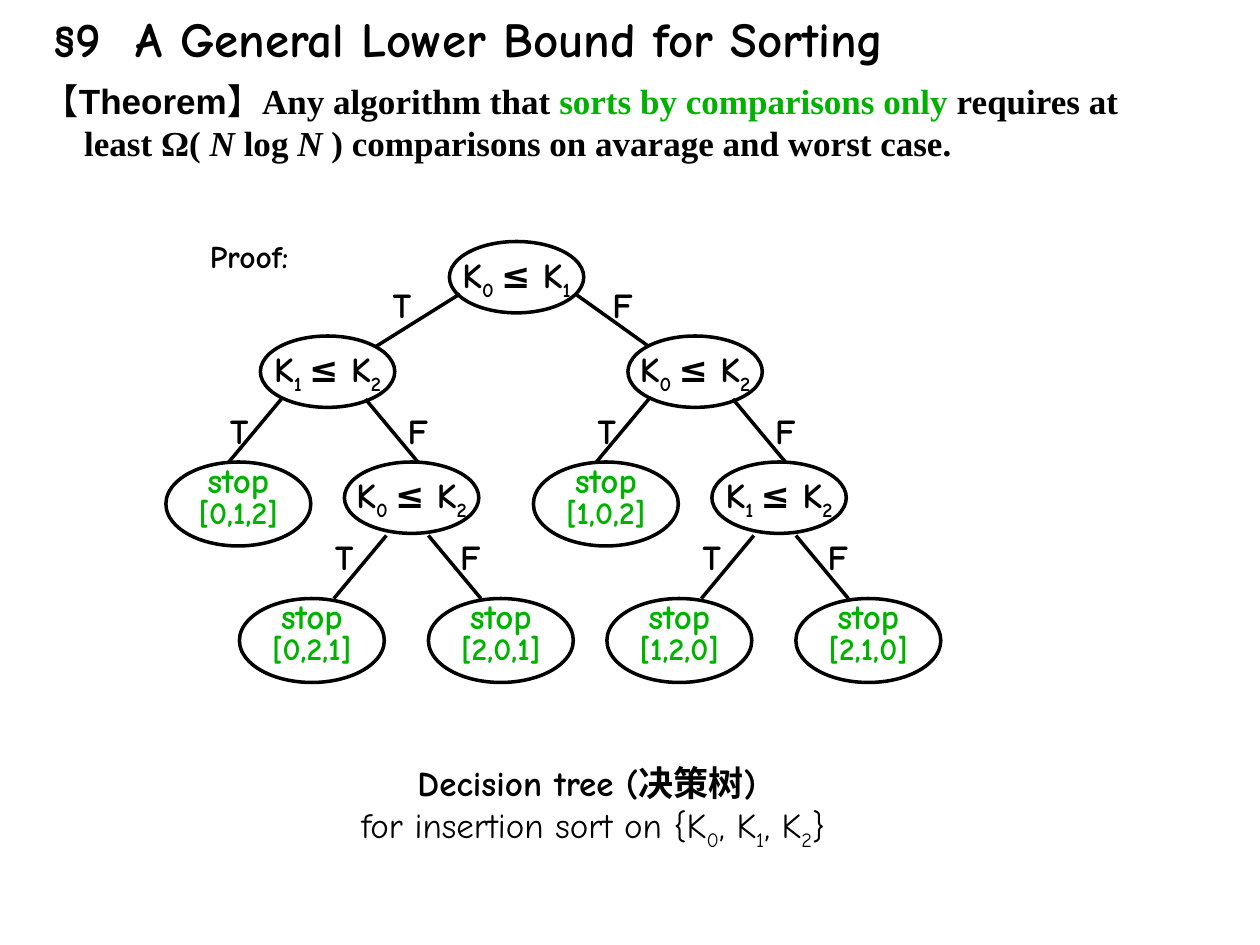
"""Build a slide showing the decision tree behind the lower bound for sorting."""
from pptx import Presentation
from pptx.dml.color import RGBColor
from pptx.enum.shapes import MSO_CONNECTOR, MSO_SHAPE
from pptx.enum.text import MSO_ANCHOR, MSO_AUTO_SIZE, PP_ALIGN
from pptx.oxml.ns import qn
from pptx.util import Inches, Pt
from lxml.etree import SubElement

COLORS = {"ink": "000000", "accent": "00B200"}
COLS, ROWS = 120, 90


def write(p, text, size=20, font="Comic Neue", color="ink", bold=True, italic=False):
    for i, part in enumerate(text.split("|")):
        if not part:
            continue
        r = p.add_run()
        r.text = part
        f = r.font
        f.size, f.name, f.bold, f.italic = Pt(size), font, bold, italic
        f.color.rgb = RGBColor.from_string(COLORS[color])
        if i % 2:
            r._r.get_or_add_rPr().set("baseline", "-25000")


class Deck:
    def __init__(self):
        self.prs = Presentation()
        self.prs.slide_width, self.prs.slide_height = Inches(10), Inches(7.5)
        self.s = self.prs.slides.add_slide(self.prs.slide_layouts[6])
        self.line_width = Pt(2)

    def grid(self, *cells):
        units = self.prs.slide_width / COLS, self.prs.slide_height / ROWS
        return [round(n * units[i % 2]) for i, n in enumerate(cells)]

    def outline(self, line):
        line.color.rgb = RGBColor.from_string(COLORS["ink"])
        line.width = self.line_width

    def text(self, x, y, w, h, *lines, centered=False, hanging=0):
        tf = self.s.shapes.add_textbox(*self.grid(x, y, w, h)).text_frame
        tf.word_wrap = not centered
        tf.auto_size = MSO_AUTO_SIZE.NONE if centered else MSO_AUTO_SIZE.SHAPE_TO_FIT_TEXT
        tf.vertical_anchor = MSO_ANCHOR.MIDDLE if centered else MSO_ANCHOR.TOP
        self.fill_text(tf, lines, PP_ALIGN.CENTER if centered else PP_ALIGN.LEFT)
        if hanging:
            pPr = tf.paragraphs[0]._p.get_or_add_pPr()
            pPr.set("marL", str(Inches(hanging)))
            pPr.set("indent", str(-Inches(hanging)))

    def fill_text(self, tf, lines, align, spacing=None):
        for i, runs in enumerate(lines):
            p = tf.add_paragraph() if i else tf.paragraphs[0]
            p.alignment = align
            if spacing:
                p.line_spacing = spacing
            for text, fmt in runs:
                write(p, text, **fmt)

    def ellipse(self, x, y, w, h, *lines, spacing=None, top=0.05, bottom=0.05):
        sp = self.s.shapes.add_shape(MSO_SHAPE.OVAL, *self.grid(x, y, w, h))
        sp.shadow.inherit = False
        sp.fill.background()
        self.outline(sp.line)
        tf = sp.text_frame
        tf.word_wrap = False
        tf.vertical_anchor = MSO_ANCHOR.MIDDLE
        tf.margin_top, tf.margin_bottom = Inches(top), Inches(bottom)
        self.fill_text(tf, lines, PP_ALIGN.CENTER, spacing)

    def compare(self, x, y, left, right):
        self.ellipse(x, y, 12.8, 6.8, [(f"K|{left} |≤ K|{right}", {})])

    def stop(self, x, y, order):
        self.ellipse(x, y, 13.8, 8, [("stop", {"color": "accent"})],
                     [(order, {"color": "accent", "size": 18})],
                     spacing=0.8, top=0, bottom=0.09)

    def branch(self, start, end, label, label_at, width=4):
        sp = self.s.shapes.add_connector(MSO_CONNECTOR.STRAIGHT, *self.grid(*start, *end))
        self.outline(sp.line)
        SubElement(sp._element.spPr, qn("a:effectLst"))
        self.text(*label_at, width, 4, [(label, {})], centered=True)

    def fork(self, x, y, true_label, false_label):
        self.branch((x, y), (x - 5, y + 6), "T", (x - true_label, y + (1 if y < 50 else 0)))
        x += 8 if y < 50 else 4
        self.branch((x, y), (x + 5, y + 6), "F", (x + false_label, y + (1 if y < 50 else 0)))

    def subtree(self, x, upper, lower, orders):
        self.compare(x, 32, *upper)
        self.compare(x + 8, 44, *lower)
        for dx, y, order in zip((-9, -2, 16), (44, 57, 57), orders):
            self.stop(x + dx, y, order)
        self.fork(x + 2, 38, 6, 3)
        self.fork(x + 12, 51, 6, 2)


def main():
    d = Deck()
    d.text(4, 0.2, 107, 6.8, [("§9  A General Lower Bound for Sorting", {"size": 28})])
    serif = {"font": "Times New Roman"}
    italic = {**serif, "italic": True}
    d.text(3, 7, 110, 9.2, [
        ("【Theorem】", {"font": "Arial"}),
        ("Any algorithm that ", serif),
        ("sorts by comparisons only", {**serif, "color": "accent"}),
        (" requires at least Ω( ", serif), ("N", italic), (" log ", serif), ("N", italic),
        (" ) comparisons on avarage and worst case.", serif)], hanging=0.32)
    d.text(18.8, 22, 14, 4.9, [("Proof:", {"size": 18})])

    d.compare(42.8, 23, 0, 1)
    d.subtree(24.8, (1, 2), (0, 2), ("[0,1,2]", "[0,2,1]", "[2,0,1]"))
    d.subtree(59.8, (0, 2), (1, 2), ("[1,0,2]", "[1,2,0]", "[2,1,0]"))
    d.branch((43.8, 28), (35.8, 33), "T", (35.8, 27), width=5)
    d.branch((54.8, 28), (61.8, 33), "F", (56.8, 27), width=5)

    d.text(15, 73.3, 83, 7, [("Decision tree (决策树) ", {})],
           [("for insertion sort on {K|0|, K|1|, K|2|}", {"bold": False})], centered=True)
    d.prs.save("out.pptx")


if __name__ == "__main__":
    main()
